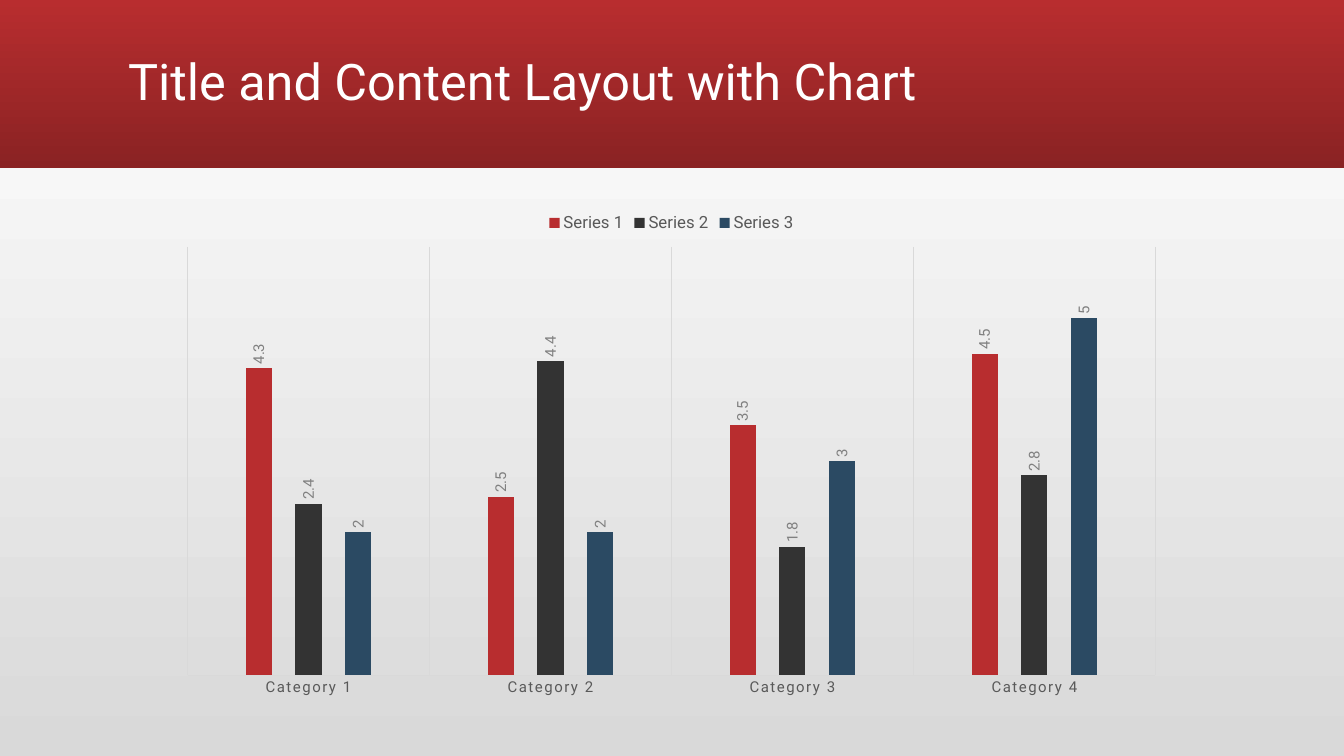
from lxml import etree
from pptx import Presentation
from pptx.chart.data import CategoryChartData
from pptx.dml.color import RGBColor
from pptx.enum.chart import XL_CHART_TYPE as Kind, XL_LABEL_POSITION as Spot
from pptx.enum.chart import XL_LEGEND_POSITION as Side, XL_TICK_MARK as Tick
from pptx.enum.shapes import MSO_SHAPE as Shape
from pptx.enum.text import MSO_ANCHOR as Anchor, PP_ALIGN as Align
from pptx.oxml.ns import qn
from pptx.util import Inches, Pt

TITLE = "Title and Content Layout with Chart"
CATS = ["Category 1", "Category 2", "Category 3", "Category 4"]
SERIES = [
    ("Series 1", (4.3, 2.5, 3.5, 4.5), "B82D2F"),
    ("Series 2", (2.4, 4.4, 1.8, 2.8), "333333"),
    ("Series 3", (2, 2, 3, 5), "2B4A63"),
]
FONT = "Roboto"
GREY = "D9D9D9"
SMALL = 10.64
PLOT = {"x": 0.02, "y": 0.09, "w": 0.96, "h": 0.85}


def color(code):
    return RGBColor.from_string(code)


def style(font, size, code):
    font.name, font.size, font.bold = FONT, Pt(size), False
    font.color.rgb = color(code)


def grade(fill, first, last, angle):
    """Fill with a two-colour gradient; the angle runs counter-clockwise."""
    fill.gradient()
    fill.gradient_angle = angle
    for stop, code, pos in zip(fill.gradient_stops, (first, last), (0, 1)):
        stop.color.rgb = color(code)
        stop.position = pos


def rule(line):
    line.color.rgb = color(GREY)
    line.width = Pt(0.75)


def space(part, points):
    """Set the letter spacing of a chart part's text."""
    for props in part.iter(qn("a:defRPr")):
        props.set("spc", str(round(points * 100)))


def place(area):
    """Fix the inner plot area as fractions of the chart."""
    old = area.find(qn("c:layout"))
    if old is not None:
        area.remove(old)
    layout = etree.Element(qn("c:layout"))
    manual = etree.SubElement(layout, qn("c:manualLayout"))
    modes = {"layoutTarget": "inner", "xMode": "edge", "yMode": "edge"}
    for tag, val in {**modes, **PLOT}.items():
        etree.SubElement(manual, qn("c:" + tag)).set("val", str(val))
    area.insert(0, layout)


def add_head(slide):
    band = slide.shapes.add_shape(Shape.RECTANGLE, 0, 0, Inches(13.33), Inches(1.67))
    band.shadow.inherit = False
    band.line.fill.background()
    grade(band.fill, "B82D2F", "8A2223", 270)

    title = slide.shapes.title
    title.left, title.top = Inches(1.17), Inches(0.11)
    title.width, title.height = Inches(11), Inches(1.45)
    band._element.addnext(title._element)
    frame = title.text_frame
    frame.word_wrap = True
    frame.vertical_anchor = Anchor.MIDDLE
    para = frame.paragraphs[0]
    para.alignment, para.line_spacing = Align.LEFT, 0.9
    run = para.add_run()
    run.text = TITLE
    style(run.font, 36, "FFFFFF")


def add_bars(slide):
    data = CategoryChartData()
    data.categories = CATS
    for name, vals, _ in SERIES:
        data.add_series(name, vals)
    chart = slide.shapes.add_chart(
        Kind.COLUMN_CLUSTERED, Inches(1.66), Inches(2), Inches(10), Inches(5), data
    ).chart
    style(chart.font, 10, "000000")
    chart.has_title = False
    chart.has_legend = True
    legend = chart.legend
    legend.position, legend.include_in_layout = Side.TOP, False
    style(legend.font, 12, "595959")

    axis = chart.category_axis
    axis.major_tick_mark = axis.minor_tick_mark = Tick.NONE
    axis.has_major_gridlines = True
    style(axis.tick_labels.font, SMALL, "595959")
    space(axis._element, 1.2)
    rule(axis.format.line)
    rule(axis.major_gridlines.format.line)

    scale = chart.value_axis
    scale.minimum_scale, scale.maximum_scale = 0, 6
    scale.has_major_gridlines = False
    scale.visible = False

    plot = chart.plots[0]
    plot.gap_width, plot.overlap = 444, -90
    plot.vary_by_categories = False
    for series, (_, _, code) in zip(plot.series, SERIES):
        series.format.fill.solid()
        series.format.fill.fore_color.rgb = color(code)
        labels = series.data_labels
        labels.show_value = True
        labels.position = Spot.OUTSIDE_END
        style(labels.font, SMALL, "808080")
        body = next(labels._element.iter(qn("a:bodyPr")))
        body.set("rot", "-5400000")
        body.set("vert", "horz")
    place(chart._chartSpace.find(".//" + qn("c:plotArea")))


def main():
    deck = Presentation()
    deck.slide_width, deck.slide_height = Inches(13.33), Inches(7.5)
    slide = deck.slides.add_slide(deck.slide_layouts[5])
    grade(slide.background.fill, GREY, "FFFFFF", 90)
    add_head(slide)
    add_bars(slide)
    deck.save("out.pptx")


if __name__ == "__main__":
    main()
